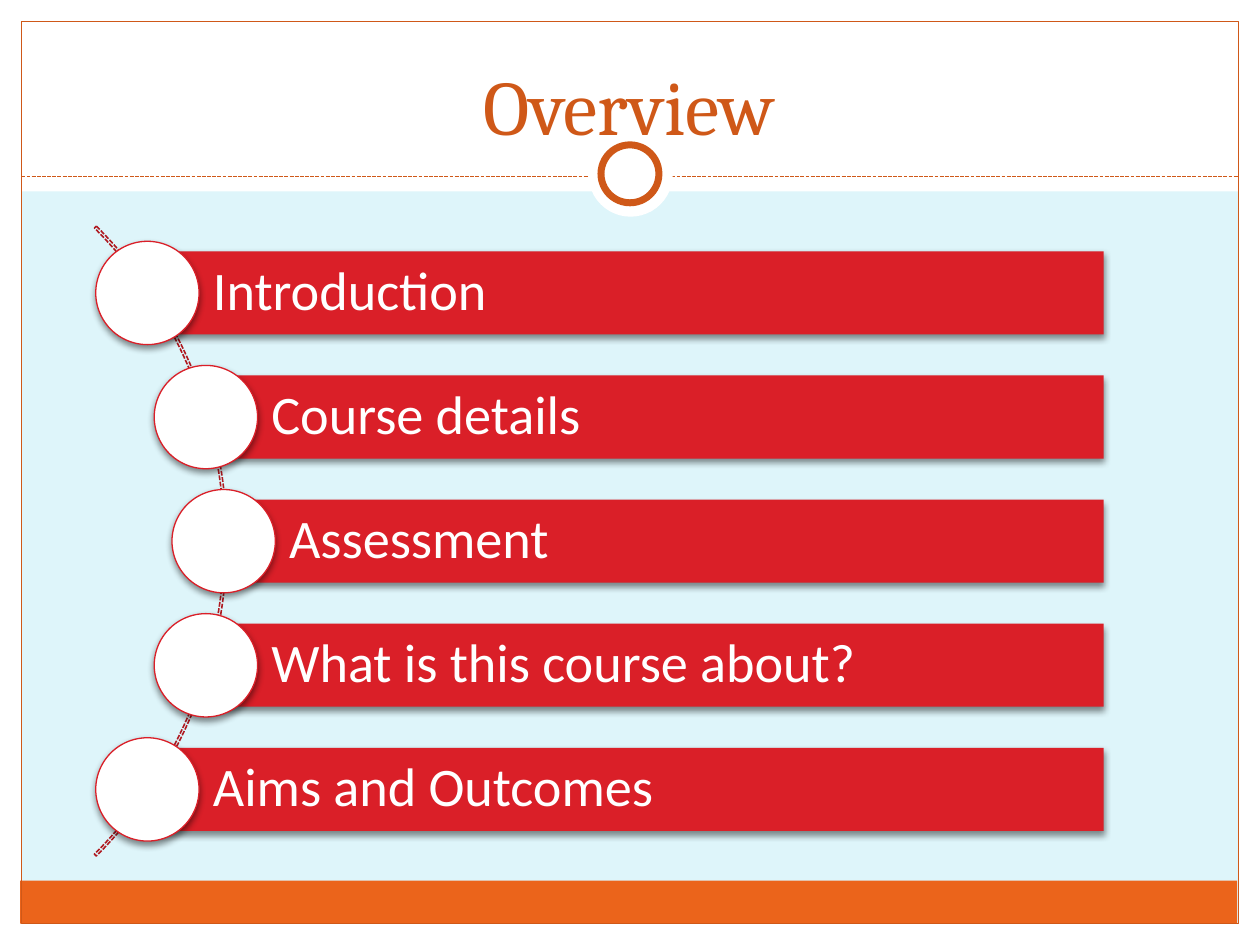
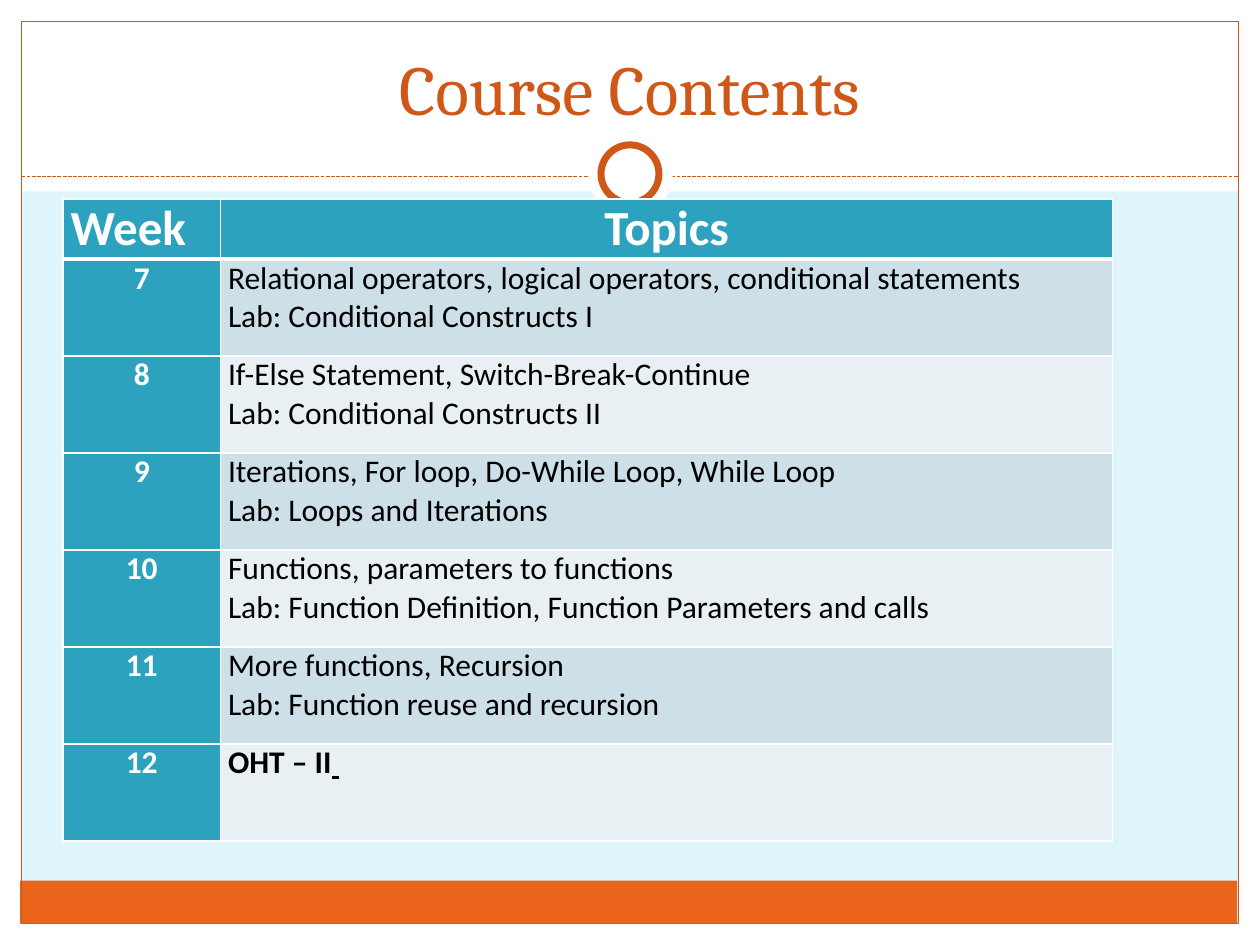
from dataclasses import dataclass
from math import sqrt

from lxml.etree import SubElement
from pptx import Presentation
from pptx.dml.color import RGBColor
from pptx.enum.dml import MSO_LINE_DASH_STYLE as Dash
from pptx.enum.shapes import MSO_CONNECTOR as Connector, MSO_SHAPE as Shape
from pptx.enum.text import MSO_ANCHOR as Anchor, MSO_AUTO_SIZE as AutoSize, PP_ALIGN as Align
from pptx.oxml.ns import qn
from pptx.util import Inches, Pt


@dataclass(frozen=True)
class Theme:
    page: str = "DEF5FA"
    white: str = "FFFFFF"
    black: str = "000000"
    orange: str = "EB641B"
    rust: str = "CF5818"
    red: str = "DA1F28"
    dark_red: str = "AF1920"
    teal: str = "2DA2BF"
    stripes: tuple = ("CDE0E8", "E8F0F4")
    title_font: str = "Cambria"
    body_font: str = "Calibri"
    topic_size: float = 31
    header_size: float = 28
    cell_size: float = 18


THEME = Theme()

TOPICS = ["Introduction", "Course details", "Assessment",
          "What is this course about?", "Aims and Outcomes"]

WEEKS = [
    ("7", ["Relational operators, logical operators, conditional statements",
           "Lab: Conditional Constructs I"]),
    ("8", ["If-Else Statement, Switch-Break-Continue",
           "Lab: Conditional Constructs II"]),
    ("9", ["Iterations, For loop, Do-While Loop, While Loop",
           "Lab: Loops and Iterations"]),
    ("10", ["Functions, parameters to functions",
            "Lab: Function Definition, Function Parameters and calls"]),
    ("11", ["More functions, Recursion",
            "Lab: Function reuse and recursion"]),
    ("12", ["OHT – II"]),
]


# Formatting helpers
def rgb(color):
    return RGBColor.from_string(color)


def apply(target, formats):
    for name, value in formats.items():
        setattr(target, name, value)


def style_font(font, color, size, name=THEME.body_font, **formats):
    apply(font, {"name": name, "size": Pt(size), **formats})
    font.color.rgb = rgb(color)


def style_line(line, color, width, dash=None):
    line.color.rgb = rgb(color)
    line.width = Pt(width)
    if dash:
        line.dash_style = dash


def place(shape, left, top, width, height):
    apply(shape, {"left": Inches(left), "top": Inches(top),
                  "width": Inches(width), "height": Inches(height)})


def add_figure(slide, preset, box, fill=None, line=None, shadow=False):
    figure = slide.shapes.add_shape(preset, *map(Inches, box))
    figure.shadow.inherit = False
    if fill:
        figure.fill.solid()
        figure.fill.fore_color.rgb = rgb(fill)
    else:
        figure.fill.background()
    if line:
        style_line(figure.line, *line)
    else:
        figure.line.fill.background()
    if shadow:
        add_shadow(figure)
    return figure


def add_shadow(figure):
    effects = figure._element.spPr.find(qn("a:effectLst"))
    outer = SubElement(effects, qn("a:outerShdw"), blurRad=str(Pt(4)), dist=str(Pt(2)),
                       dir="5400000", algn="ctr", rotWithShape="0")
    tint = SubElement(outer, qn("a:srgbClr"), val=THEME.black)
    SubElement(tint, qn("a:alpha"), val="45000")


# Shared frame, kept on the slide master
def add_frame(master, slide):
    title_id = slide.shapes.title.shape_id
    bands = [
        ((0, 7.33, 10, 0.17), THEME.white),
        ((0, 0, 10, 1.52), THEME.white),
        ((0, 0, 0.17, 7.5), THEME.white),
        ((9.83, 0, 0.17, 7.5), THEME.white),
        ((0.16, 6.99, 9.66, 0.34), THEME.orange),
    ]
    for box, color in bands:
        add_figure(slide, Shape.RECTANGLE, box, color)
    add_figure(slide, Shape.RECTANGLE, (0.17, 0.17, 9.66, 7.16), line=(THEME.rust, 0.75))

    divider = slide.shapes.add_connector(
        Connector.STRAIGHT, Inches(0.17), Inches(1.4), Inches(9.83), Inches(1.4))
    style_line(divider.line, THEME.rust, 0.75, Dash.SQUARE_DOT)
    divider.line._get_or_add_ln().find(qn("a:prstDash")).set("val", "sysDash")
    SubElement(divider._element.spPr, qn("a:effectLst"))

    add_figure(slide, Shape.OVAL, (4.67, 1.05, 0.67, 0.67), THEME.white)
    add_figure(slide, Shape.OVAL, (4.77, 1.15, 0.46, 0.46), THEME.white, (THEME.rust, 4))

    master.background.fill.solid()
    master.background.fill.fore_color.rgb = rgb(THEME.page)
    parts = [part for part in slide.shapes if part.shape_id != title_id]
    for number, part in enumerate(parts, 100):
        part._element.xpath(".//p:cNvPr")[0].set("id", str(number))
        master.shapes._spTree.append(part._element)


def set_title(slide, text, top, size):
    title = slide.shapes.title
    place(title, 0.33, top, 9.33, 0.83)
    title.text = text
    apply(title.text_frame, {"vertical_anchor": Anchor.BOTTOM, "auto_size": AutoSize.NONE})
    heading = title.text_frame.paragraphs[0]
    heading.alignment = Align.CENTER
    style_font(heading.runs[0].font, THEME.rust, size, THEME.title_font)


# Overview: topics strung along an arc
def add_topic(slide, text, center_x, center_y):
    bar_height, knob = 0.66, 0.82
    bar_box = (center_x, center_y - bar_height / 2, 8.76 - center_x, bar_height)
    bar = add_figure(slide, Shape.RECTANGLE, bar_box, THEME.red, shadow=True)
    frame = bar.text_frame
    apply(frame, {"margin_left": Inches(0.52), "margin_right": Inches(0.09),
                  "margin_top": Inches(0.09), "margin_bottom": Inches(0.09),
                  "vertical_anchor": Anchor.MIDDLE, "word_wrap": True})
    label = frame.paragraphs[0]
    apply(label, {"text": text, "alignment": Align.LEFT, "line_spacing": 0.9})
    style_font(label.runs[0].font, THEME.white, THEME.topic_size)
    knob_box = (center_x - knob / 2, center_y - knob / 2, knob, knob)
    add_figure(slide, Shape.OVAL, knob_box, THEME.white, (THEME.red, 0.75), shadow=True)


def add_topic_arc(slide, topics):
    arc_x, arc_y, arc_size = -5.27, 0.76, 7.07
    arc = add_figure(slide, Shape.BLOCK_ARC, (arc_x, arc_y, arc_size, arc_size),
                     line=(THEME.dark_red, 0.9, Dash.SQUARE_DOT))
    arc.line._get_or_add_ln().find(qn("a:prstDash")).set("val", "sysDash")
    for index, value in enumerate((189, 27, 0.003)):
        arc.adjustments[index] = value

    middle_x, middle_y = arc_x + arc_size / 2, arc_y + arc_size / 2
    reach, pitch = 3.51, 0.985
    for index, topic in enumerate(topics):
        drop = (index - (len(topics) - 1) / 2) * pitch
        add_topic(slide, topic, middle_x + sqrt(reach ** 2 - drop ** 2), middle_y + drop)


# Course contents: weekly table
def add_borders(cell, top=1, bottom=1):
    properties = cell._tc.get_or_add_tcPr()
    for side, width in (("L", 1), ("R", 1), ("T", top), ("B", bottom)):
        edge = SubElement(properties, qn(f"a:ln{side}"), w=str(Pt(width)))
        fill = SubElement(edge, qn("a:solidFill"))
        SubElement(fill, qn("a:srgbClr"), val=THEME.white)


def fill_cell(cell, lines, fill, color, size, bold=False, align=Align.LEFT, **borders):
    add_borders(cell, **borders)
    cell.fill.solid()
    cell.fill.fore_color.rgb = rgb(fill)
    apply(cell, {"margin_left": Inches(0.06), "margin_right": Inches(0.06),
                 "margin_top": 0, "margin_bottom": 0})
    cell.text = "\n".join(lines)
    for paragraph in cell.text_frame.paragraphs:
        paragraph.alignment = align
        style_font(paragraph.runs[0].font, color, size, bold=bold)


def add_week_table(slide, weeks):
    box = map(Inches, (0.5, 1.58, 8.33, 5.01))
    table = slide.shapes.add_table(len(weeks) + 1, 2, *box).table
    for column, width in zip(table.columns, (1.25, 7.08)):
        column.width = Inches(width)
    for index, row in enumerate(table.rows):
        row.height = Inches(0.77 if index else 0.39)

    headings = (("Week", Align.LEFT), ("Topics", Align.CENTER))
    for column, (heading, align) in enumerate(headings):
        fill_cell(table.cell(0, column), [heading], THEME.teal, THEME.white,
                  THEME.header_size, True, align, bottom=3)

    for row, (week, lines) in enumerate(weeks, 1):
        top = 3 if row == 1 else 1
        exam = row == len(weeks)
        fill_cell(table.cell(row, 0), [week], THEME.teal, THEME.white,
                  THEME.cell_size, True, Align.CENTER, top=top)
        fill_cell(table.cell(row, 1), lines, THEME.stripes[(row - 1) % 2], THEME.black,
                  THEME.cell_size, exam, top=top)

    # The exam entry ends in an underlined space
    tail = table.cell(len(weeks), 1).text_frame.paragraphs[0].add_run()
    tail.text = " "
    style_font(tail.font, THEME.black, THEME.cell_size, bold=False, underline=True)


def main():
    deck = Presentation()
    deck.slide_width, deck.slide_height = Inches(10), Inches(7.5)
    title_only = deck.slide_layouts[5]

    overview = deck.slides.add_slide(title_only)
    add_frame(deck.slide_master, overview)
    set_title(overview, "Overview", 0.42, 44)
    add_topic_arc(overview, TOPICS)

    contents = deck.slides.add_slide(title_only)
    set_title(contents, "Course Contents", 0.25, 40)
    add_week_table(contents, WEEKS)

    deck.save("out.pptx")


if __name__ == "__main__":
    main()
